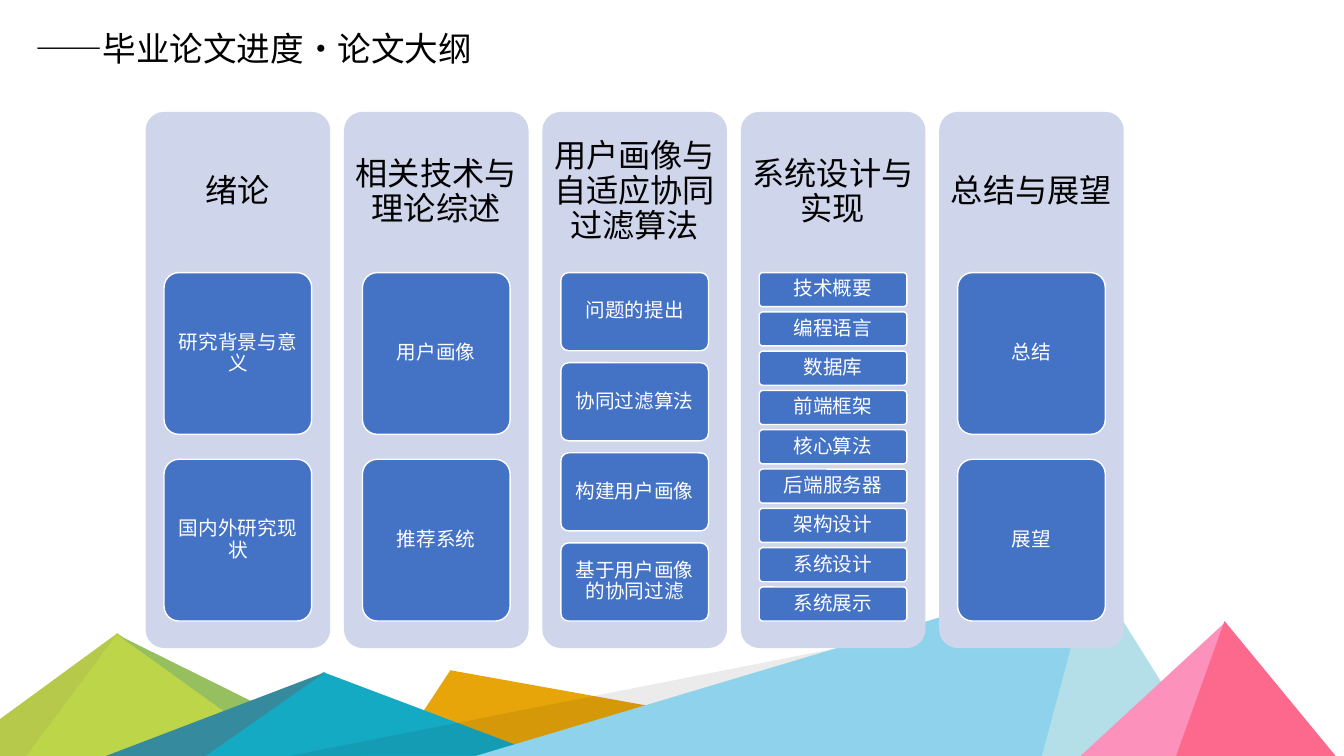
"""Build the thesis outline slide: five chapter columns above a mountain range."""
import pptx
import pptx.dml.color
import pptx.enum.shapes
import pptx.enum.text
import pptx.oxml
import pptx.oxml.ns
import pptx.util
from pptx.util import Cm

FONT = "Noto Sans CJK SC"
COLOURS = {
    "black": "000000", "white": "FFFFFF", "column": "CFD5EA", "card": "4472C4",
    "gold": "E8A50A", "lime": "BDD549", "green": "96BF5F", "olive": "B6C94B",
    "teal": "15AAC4", "petrol": "358A9E", "sky": "8FD2EC", "ice": "B5DFE8",
    "pink": "FC92BC", "rose": "FD698D",
}


def paint(shape, colour):
    shape.shadow.inherit = False
    shape.fill.solid()
    shape.fill.fore_color.rgb = pptx.dml.color.RGBColor.from_string(COLOURS[colour])
    shape.line.fill.background()


def write(shape, text, size, colour, margins, spacing=0.9,
          align=pptx.enum.text.PP_ALIGN.CENTER, anchor=pptx.enum.text.MSO_ANCHOR.MIDDLE):
    frame = shape.text_frame
    frame.text = text
    frame.word_wrap = True
    frame.vertical_anchor = anchor
    frame.margin_left = frame.margin_right = Cm(margins[0])
    frame.margin_top = frame.margin_bottom = Cm(margins[1])
    para = frame.paragraphs[0]
    para.alignment = align
    para.line_spacing = spacing
    span = para.runs[0]
    span.font.size = pptx.util.Pt(size)
    span.font.name = FONT
    span.font.color.rgb = pptx.dml.color.RGBColor.from_string(COLOURS[colour])
    east_asian = pptx.oxml.parse_xml(
        f'<a:ea {pptx.oxml.ns.nsdecls("a")} typeface="{FONT}"/>')
    span.font._element.find(pptx.oxml.ns.qn("a:latin")).addnext(east_asian)


deck = pptx.Presentation()
deck.slide_width = Cm(33.87)
deck.slide_height = Cm(19.05)
page = deck.slides.add_slide(deck.slide_layouts[5])
shapes = page.shapes

GROUND = 19.05
mountains = [
    ("gold", (9.93, GROUND), (11.35, 16.89), (23.37, GROUND)),
    ("lime", (0.64, GROUND), (2.95, 15.95), (7.21, GROUND)),
    ("green", (7.21, GROUND), (2.97, 16), (9.12, GROUND)),
    ("olive", (-1.27, GROUND), (2.97, 15.95), (0.66, GROUND)),
    ("teal", (5.16, GROUND), (8.15, 16.94), (13.74, GROUND)),
    ("petrol", (2.67, GROUND), (8.2, 16.94), (5.18, GROUND)),
    ("black", (7.29, GROUND), (25.73, 15.42), (24.46, 19)),
    ("sky", (11.99, GROUND), (27.56, 14.4), (26.29, GROUND)),
    ("ice", (26.26, GROUND), (27.51, 14.38), (30.43, GROUND)),
    ("pink", (27.23, GROUND), (30.89, 15.67), (29.67, GROUND)),
    ("rose", (29.64, GROUND), (30.86, 15.65), (33.66, GROUND)),
]
for colour, *corners in mountains:
    start, *others = [(Cm(x), Cm(y)) for x, y in corners]
    builder = shapes.build_freeform(*start)
    builder.add_line_segments(others, close=True)
    mountain = builder.convert_to_shape()
    paint(mountain, colour)
    if colour == "black":
        tint = mountain.fill._xPr.find(".//" + pptx.oxml.ns.qn("a:srgbClr"))
        tint.append(pptx.oxml.parse_xml(
            f'<a:alpha {pptx.oxml.ns.nsdecls("a")} val="8000"/>'))

title = shapes.title
title.left, title.top, title.width, title.height = Cm(0.64), Cm(0.58), Cm(11.53), Cm(1.27)
write(title, "——毕业论文进度·论文大纲", 24, "black", (0.25, 0.13), 1.0,
      pptx.enum.text.PP_ALIGN.LEFT, pptx.enum.text.MSO_ANCHOR.TOP)
title.text_frame.auto_size = pptx.enum.text.MSO_AUTO_SIZE.SHAPE_TO_FIT_TEXT

chapters = [
    ("绪论", ["研究背景与意义", "国内外研究现状"]),
    ("相关技术与理论综述", ["用户画像", "推荐系统"]),
    ("用户画像与自适应协同过滤算法",
     ["问题的提出", "协同过滤算法", "构建用户画像", "基于用户画像的协同过滤"]),
    ("系统设计与实现",
     ["技术概要", "编程语言", "数据库", "前端框架", "核心算法",
      "后端服务器", "架构设计", "系统设计", "系统展示"]),
    ("总结与展望", ["总结", "展望"]),
]
COLUMN_LEFT, COLUMN_TOP, COLUMN_PITCH = 3.67, 2.82, 5
COLUMN_WIDTH, COLUMN_HEIGHT, HEADING_HEIGHT = 4.65, 13.51, 4.05
CARD_WIDTH, CARDS_HEIGHT, GAP_RATIO = 3.72, 8.78, 2 / 13
ROUNDED = pptx.enum.shapes.MSO_SHAPE.ROUNDED_RECTANGLE

for index, (heading, topics) in enumerate(chapters):
    left = COLUMN_LEFT + index * COLUMN_PITCH
    column = shapes.add_shape(
        ROUNDED, Cm(left), Cm(COLUMN_TOP), Cm(COLUMN_WIDTH), Cm(COLUMN_HEIGHT))
    column.adjustments[0] = 0.1
    paint(column, "column")
    box = shapes.add_textbox(
        Cm(left), Cm(COLUMN_TOP), Cm(COLUMN_WIDTH), Cm(HEADING_HEIGHT))
    write(box, heading, 23, "black", (0.25, 0.25))

    card_left = left + (COLUMN_WIDTH - CARD_WIDTH) / 2
    card_height = CARDS_HEIGHT / (len(topics) + (len(topics) - 1) * GAP_RATIO)
    for row, topic in enumerate(topics):
        card_top = COLUMN_TOP + HEADING_HEIGHT + row * card_height * (1 + GAP_RATIO)
        card = shapes.add_shape(
            ROUNDED, Cm(card_left), Cm(card_top), Cm(CARD_WIDTH), Cm(card_height))
        card.adjustments[0] = 0.1
        paint(card, "card")
        card.line.color.rgb = pptx.dml.color.RGBColor.from_string(COLOURS["white"])
        card.line.width = pptx.util.Pt(1)
        write(card, topic, 14, "white", (0.1, 0.08))

deck.save("out.pptx")
